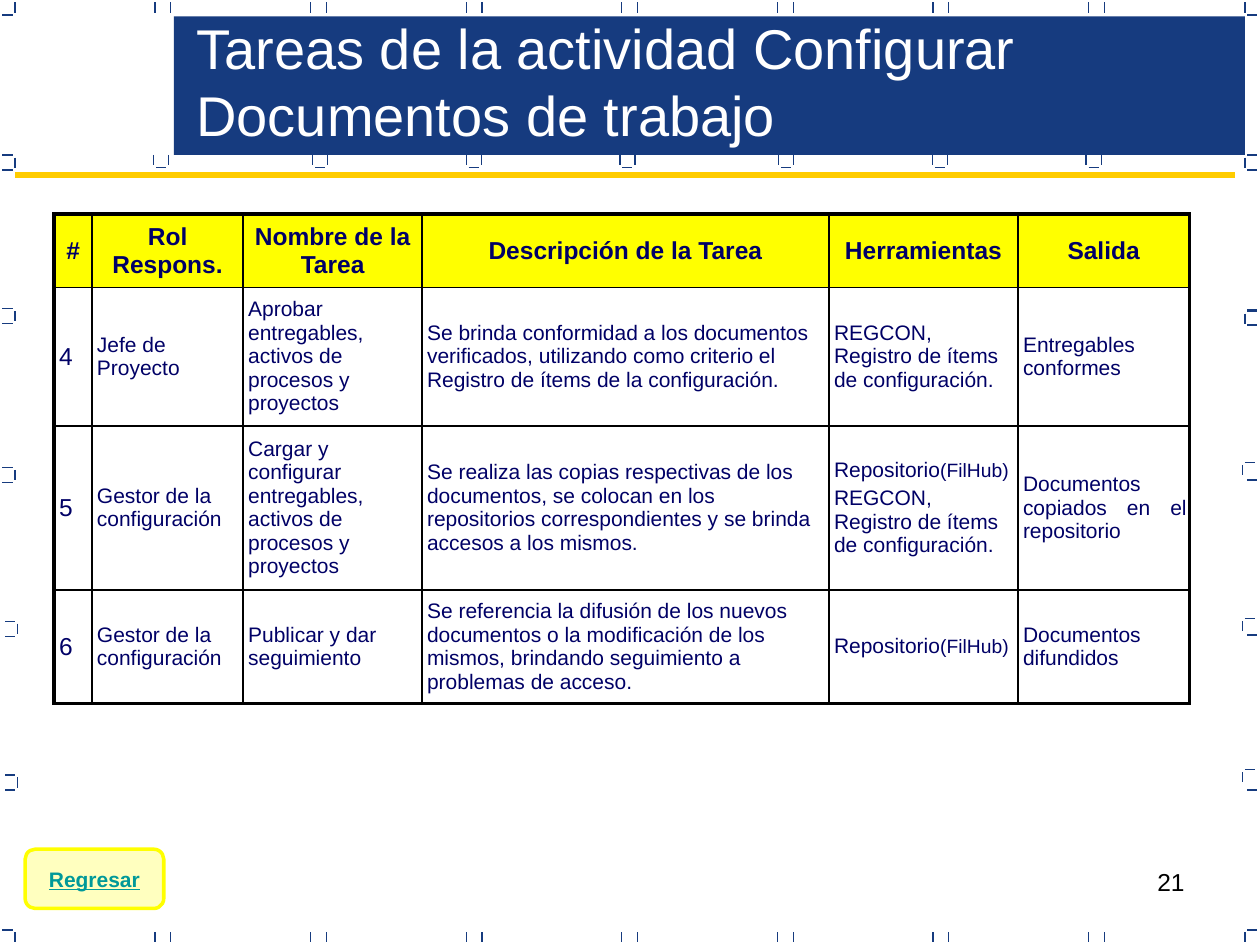
from lxml import etree
from pptx import Presentation
from pptx.dml.color import RGBColor
from pptx.enum import shapes, text
from pptx.oxml.ns import qn
from pptx.util import Inches, Pt

NAVY = RGBColor(0x16, 0x3B, 0x7F)
INK = RGBColor(0x00, 0x00, 0x66)
YELLOW = RGBColor(0xFF, 0xFF, 0x00)
GOLD = RGBColor(0xFF, 0xCC, 0x00)
TEAL = RGBColor(0x00, 0x99, 0x99)
BLACK = RGBColor(0x00, 0x00, 0x00)
WHITE = RGBColor(0xFF, 0xFF, 0xFF)
FONT = "Arial"
LEFT, CENTER, RIGHT, JUSTIFY = (text.PP_ALIGN.LEFT, text.PP_ALIGN.CENTER,
                                text.PP_ALIGN.RIGHT, text.PP_ALIGN.JUSTIFY)

TITLE = "Tareas de la actividad Configurar Documentos de trabajo"
HEADER = ["#", "Rol Respons.", "Nombre de la Tarea", "Descripción de la Tarea",
          "Herramientas", "Salida"]
REGISTER = "REGCON, Registro de ítems de configuración."
REPOSITORY = ("Repositorio", "(FilHub)")
# A cell is a string or a list of paragraphs; a tuple is split into runs.
TASKS = [
    ["4", "Jefe de Proyecto", "Aprobar entregables, activos de procesos y proyectos",
     "Se brinda conformidad a los documentos verificados, utilizando como criterio "
     "el Registro de ítems de la configuración.",
     REGISTER, "Entregables conformes"],
    ["5", "Gestor de la configuración",
     "Cargar y configurar entregables, activos de procesos y proyectos",
     "Se realiza las copias respectivas de los documentos, se colocan en los "
     "repositorios correspondientes y se brinda accesos a los mismos.",
     [REPOSITORY, REGISTER], "Documentos copiados en el repositorio"],
    ["6", "Gestor de la configuración", "Publicar y dar seguimiento",
     "Se referencia la difusión de los nuevos documentos o la modificación de los "
     "mismos, brindando seguimiento a problemas de acceso.",
     [REPOSITORY], "Documentos difundidos"],
]
COLUMN_WIDTHS = [0.3, 1.2, 1.42, 3.23, 1.5, 1.36]
ROW_HEIGHTS = [0.58, 1.1, 1.3, 0.9]

# Edge ticks: each bracket is 0.12 across, with open corners of 0.02.
GAP, REACH = 0.02, 0.1
PAIR_STARTS = [1.23 + 1.235 * i for i in range(7)]
CUP_STARTS = [1.22, 2.48, 3.7, 4.92, 6.18, 7.4, 8.62]
LEFT_BRACKETS = [(0.12, 1.23), (0.12, 2.45), (0.12, 3.71), (0.14, 4.93), (0.14, 6.15)]
RIGHT_BRACKETS = [(9.88, 1.23), (9.88, 2.47), (9.86, 3.67), (9.86, 4.91), (9.86, 6.11)]
RIGHT_DASHES = [1.35, 2.46, 2.58, 3.81, 5.04, 6.27]


def add_line(page, x1, y1, x2, y2, color=NAVY, width=0.75):
    """Draw a straight line without a shadow."""
    line = page.shapes.add_connector(shapes.MSO_CONNECTOR.STRAIGHT, Inches(x1),
                                     Inches(y1), Inches(x2), Inches(y2))
    line.line.color.rgb = color
    line.line.width = Pt(width)
    etree.SubElement(line._element.spPr, qn("a:effectLst"))


def add_edge_ticks(page):
    """Draw the small marks around the page and below the banner."""
    for top in (0.02, 7.4):
        for x in [0.12, 9.88] + [start + d for start in PAIR_STARTS for d in (0, 0.125)]:
            add_line(page, x, top, x, top + 0.08)
    for y in (0.12, 7.38):
        for x in (0.02, 9.9):
            add_line(page, x, y, x + 0.08, y)
    for x in CUP_STARTS:
        for side in (x, x + 0.12):
            add_line(page, side, 1.23, side, 1.31)
        add_line(page, x + GAP, 1.33, x + REACH, 1.33)
    for x, y in LEFT_BRACKETS:
        add_line(page, x, y + GAP, x, y + REACH)
        for dash in (y, y + 0.12):
            add_line(page, x - REACH, dash, x - GAP, dash)
    for x, y in RIGHT_BRACKETS:
        add_line(page, x, y + GAP, x, y + REACH)
        add_line(page, x + GAP, y, x + REACH, y)
    for y in RIGHT_DASHES:
        add_line(page, 9.9, y, 9.98, y)


def style_run(run, size, color, bold=False):
    """Set the font of one run."""
    run.font.name = FONT
    run.font.size = Pt(size)
    run.font.color.rgb = color
    run.font.bold = bold


def add_text(page, words, place, size, color, align=LEFT):
    """Add a wrapped text box with one paragraph."""
    box = page.shapes.add_textbox(*[Inches(v) for v in place])
    box.text_frame.word_wrap = True
    box.text_frame.text = words
    para = box.text_frame.paragraphs[0]
    para.alignment = align
    style_run(para.runs[0], size, color)


def add_box(page, kind, place, fill):
    """Add a filled preset shape without a shadow or outline."""
    box = page.shapes.add_shape(kind, *[Inches(v) for v in place])
    box.shadow.inherit = False
    box.fill.solid()
    box.fill.fore_color.rgb = fill
    box.line.fill.background()
    return box


def set_borders(cell, widths):
    """Put black borders on a cell; widths are left, right, top, bottom."""
    props = cell._tc.get_or_add_tcPr()
    for i, (side, width) in enumerate(zip("LRTB", widths)):
        border = etree.Element(qn("a:ln" + side), w=str(Pt(width)))
        fill = etree.SubElement(border, qn("a:solidFill"))
        etree.SubElement(fill, qn("a:srgbClr"), val=str(BLACK))
        props.insert(i, border)


def fill_cell(cell, content, size, align, header):
    """Write the paragraphs of a cell and set its margins and fill."""
    cell.vertical_anchor = text.MSO_ANCHOR.MIDDLE
    cell.margin_left = Inches(0 if header else 0.04)
    cell.margin_right = Inches(0 if header else 0.02)
    cell.margin_top = cell.margin_bottom = Inches(0.05)
    if header:
        cell.fill.solid()
        cell.fill.fore_color.rgb = YELLOW
    else:
        cell.fill.background()
    for i, parts in enumerate(content if isinstance(content, list) else [content]):
        frame = cell.text_frame
        para = frame.add_paragraph() if i else frame.paragraphs[0]
        para.alignment = align
        para.space_before = Pt(size * 0.2)
        for j, part in enumerate(parts if isinstance(parts, tuple) else (parts,)):
            run = para.add_run()
            run.text = part
            style_run(run, size - j, INK, header)


def add_task_table(page):
    """Build the table of tasks with a heavy outer frame."""
    rows = [HEADER] + TASKS
    last_row, last_column = len(rows) - 1, len(HEADER) - 1
    frame = page.shapes.add_table(len(rows), len(HEADER), Inches(0.43), Inches(1.7),
                                  Inches(sum(COLUMN_WIDTHS)), Inches(sum(ROW_HEIGHTS)))
    table = frame.table
    table.first_row = table.horz_banding = False
    for column, width in zip(table.columns, COLUMN_WIDTHS):
        column.width = Inches(width)
    for r, row in enumerate(rows):
        table.rows[r].height = Inches(ROW_HEIGHTS[r])
        for c, content in enumerate(row):
            header = r == 0
            size = 14 if header or c == 0 else 12
            align = CENTER if header else JUSTIFY if c == last_column else LEFT
            fill_cell(table.cell(r, c), content, size, align, header)
            outer = (c == 0, c == last_column, header, r == last_row)
            set_borders(table.cell(r, c), [2.25 if edge else 1 for edge in outer])


def add_return_button(page):
    """Add the pale yellow button at the lower left."""
    button = add_box(page, shapes.MSO_SHAPE.FLOWCHART_ALTERNATE_PROCESS,
                     (0.2, 6.74, 1.1, 0.47), YELLOW)
    color = button._element.spPr.find(qn("a:solidFill"))[0]
    etree.SubElement(color, qn("a:alpha"), val="25000")
    button.line.color.rgb = YELLOW
    button.line.width = Pt(2)
    frame = button.text_frame
    frame.word_wrap = False
    frame.vertical_anchor = text.MSO_ANCHOR.MIDDLE
    frame.text = "Regresar"
    para = frame.paragraphs[0]
    para.alignment = CENTER
    style_run(para.runs[0], 12, TEAL, True)
    para.runs[0].font.underline = True


deck = Presentation()
deck.slide_width, deck.slide_height = Inches(10), Inches(7.5)
page = deck.slides.add_slide(deck.slide_layouts[6])
add_text(page, "21", (7.17, 6.83, 2.33, 0.52), 14, BLACK, RIGHT)
add_edge_ticks(page)
add_box(page, shapes.MSO_SHAPE.RECTANGLE, (1.38, 0.13, 8.5, 1.1), NAVY)
add_text(page, TITLE, (1.46, 0.06, 8.35, 1.17), 32, WHITE)
add_line(page, 0.12, 1.39, 9.8, 1.39, GOLD, 3)
add_task_table(page)
add_return_button(page)
deck.save("out.pptx")
